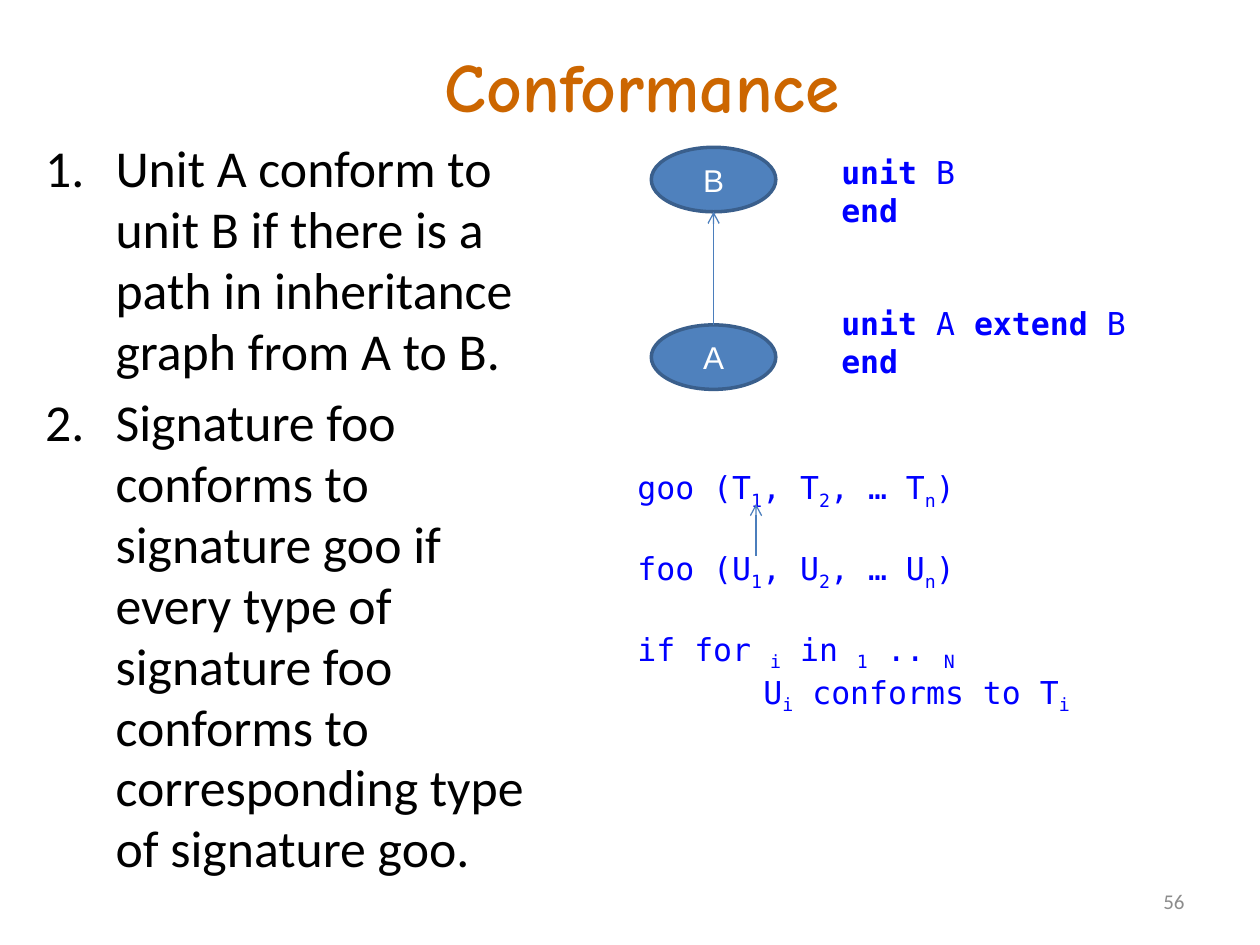
"""Build the Conformance slide: numbered rules, an inheritance graph and code samples."""
from dataclasses import dataclass

from lxml import etree
from pptx import Presentation
from pptx import util as u
from pptx.dml.color import RGBColor
from pptx.enum import shapes, text
from pptx.oxml.ns import qn

TITLE = "Conformance"
RULES = [
    "Unit A conform to unit B if there is a path in inheritance graph from A to B.",
    "Signature foo conforms to signature goo if every type of signature foo "
    "conforms to corresponding type of signature goo.",
]
UNITS = ["B", "A"]
PAGE_NUMBER = "56"

# Text between bars takes the block's accent; each entry is text, space before, indent.
UNIT_CODE = [
    ("|unit| B", 0, 0),
    ("|end|", 0, 0),
    ("|unit| A |extend| B", 43, 0),
    ("|end|", 0, 0),
]
SIGNATURE_CODE = [
    ("goo (T|1|, T|2|, … T|n|)", 0, 0),
    ("foo (U|1|, U|2|, … U|n|)", 21.5, 0),
    ("if for |i| in |1| .. |N|", 21.5, 0),
    ("U|i| conforms to T|i|", 0, 2.54),
]


@dataclass(frozen=True)
class Theme:
    title: tuple = ("Comic Neue", 39.6, "CC6600")
    body: tuple = ("Calibri", 29.6, "000000")
    node: tuple = ("Arial", 18, "FFFFFF")
    code: tuple = ("DejaVu Sans Mono", 18, "0000FF")
    number: tuple = ("Calibri", 12, "8C8C8C")
    fill: str = "4F81BD"
    outline: str = "3A5F8C"
    arrow: str = "4B7EBC"


THEME = Theme()
NODE_LEFT, NODE_TOP, NODE_WIDTH, NODE_HEIGHT, NODE_STEP = 13.13, 2.97, 2.51, 1.3, 3.58


def style_runs(paragraph, style):
    name, size, color = style
    for run in paragraph.runs:
        run.font.name = name
        run.font.size = u.Pt(size)
        run.font.color.rgb = RGBColor.from_string(color)


def add_text(slide, box, lines, style, align=text.PP_ALIGN.LEFT, anchor=text.MSO_ANCHOR.TOP):
    frame = slide.shapes.add_textbox(*map(u.Cm, box)).text_frame
    frame.word_wrap = True
    frame.vertical_anchor = anchor
    frame.text = "\n".join(lines)
    for paragraph in frame.paragraphs:
        paragraph.alignment = align
        style_runs(paragraph, style)
    return frame


def add_rules(slide):
    frame = add_text(slide, (0.66, 2.67, 10.57, 15.52), RULES, THEME.body)
    for index, paragraph in enumerate(frame.paragraphs):
        paragraph.line_spacing = 0.98
        paragraph.space_before = u.Pt(6 if index else 0)
        properties = paragraph._p.get_or_add_pPr()
        properties.set("marL", str(u.Cm(1.42)))
        properties.set("indent", str(u.Cm(-1.42)))
        etree.SubElement(properties, qn("a:buAutoNum"), type="arabicPeriod")


def make_bold(run):
    run.font.bold = True


def make_subscript(run):
    run._r.get_or_add_rPr().set("baseline", "-25000")


def add_code(slide, box, lines, accent):
    frame = add_text(slide, box, [""] * len(lines), THEME.code)
    for paragraph, (line, space, indent) in zip(frame.paragraphs, lines):
        paragraph.space_before = u.Pt(space)
        if indent:
            paragraph._p.get_or_add_pPr().set("marL", str(u.Cm(indent)))
        for index, part in enumerate(line.split("|")):
            if part:
                run = paragraph.add_run()
                run.text = part
                if index % 2:
                    accent(run)
        style_runs(paragraph, THEME.code)


def add_node(slide, name, top):
    box = (NODE_LEFT, top, NODE_WIDTH, NODE_HEIGHT)
    shape = slide.shapes.add_shape(shapes.MSO_SHAPE.OVAL, *map(u.Cm, box))
    shape.shadow.inherit = False
    shape.fill.solid()
    shape.fill.fore_color.rgb = RGBColor.from_string(THEME.fill)
    shape.line.color.rgb = RGBColor.from_string(THEME.outline)
    shape.line.width = u.Pt(2)
    frame = shape.text_frame
    frame.text = name
    frame.vertical_anchor = text.MSO_ANCHOR.MIDDLE
    frame.paragraphs[0].alignment = text.PP_ALIGN.CENTER
    style_runs(frame.paragraphs[0], THEME.node)


def add_up_arrow(slide, x, bottom, top):
    ends = map(u.Cm, (x, bottom, x, top))
    arrow = slide.shapes.add_connector(shapes.MSO_CONNECTOR.STRAIGHT, *ends)
    arrow.line.color.rgb = RGBColor.from_string(THEME.arrow)
    arrow.line.width = u.Pt(0.75)
    etree.SubElement(arrow.line._get_or_add_ln(), qn("a:tailEnd"), type="arrow")
    etree.SubElement(arrow._element.spPr, qn("a:effectLst"))


def main():
    presentation = Presentation()
    presentation.slide_width, presentation.slide_height = u.Cm(25.4), u.Cm(19.05)
    slide = presentation.slides.add_slide(presentation.slide_layouts[6])

    middle = text.MSO_ANCHOR.MIDDLE
    title = add_text(slide, (8.26, 0.64, 9.37, 2.13), [TITLE], THEME.title,
                     text.PP_ALIGN.CENTER, middle)
    title.paragraphs[0].runs[0].font.bold = True
    add_rules(slide)

    for index, name in enumerate(UNITS):
        add_node(slide, name, NODE_TOP + index * NODE_STEP)
    add_up_arrow(slide, NODE_LEFT + NODE_WIDTH / 2, NODE_TOP + NODE_STEP,
                 NODE_TOP + NODE_HEIGHT)

    add_code(slide, (16.71, 2.97, 8.43, 4.88), UNIT_CODE, make_bold)
    add_code(slide, (12.6, 9.32, 10.06, 4.88), SIGNATURE_CODE, make_subscript)
    add_up_arrow(slide, 15.24, 11.2, 10.16)
    add_text(slide, (22.66, 17.65, 1.47, 1.02), [PAGE_NUMBER], THEME.number,
             text.PP_ALIGN.RIGHT, middle)
    presentation.save("out.pptx")


if __name__ == "__main__":
    main()
